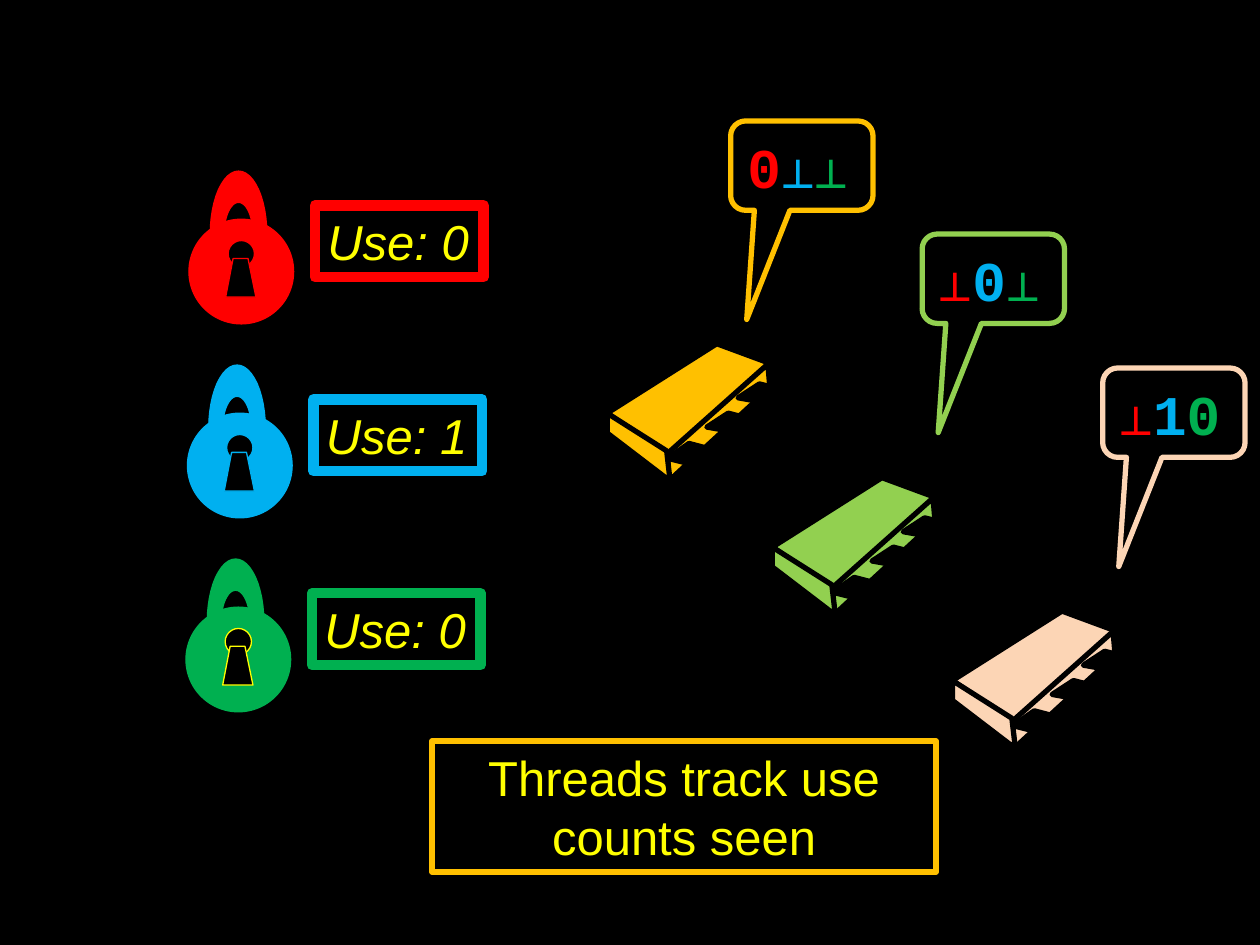
"""Build a slide of locks with use counts and threads that track the counts seen."""
import math

from lxml import etree
from pptx import Presentation
from pptx import util as u
from pptx.dml.color import RGBColor
from pptx.enum import shapes, text
from pptx.oxml.ns import qn

THEME = {
    "background": "000000", "text": "FFFF00", "accent": "FFC000",
    "locks": ("FF0000", "00B0F0", "00B050"),
    "chips": ("FFC000", "92D050", "FCD5B5"),
    "font": "Arial", "code_font": "Courier New",
    "size": 28, "code_size": 32,
    "thin": 0.75, "medium": 3, "thick": 6,
}

KEYHOLE_LINES = ("FF0000", "00B0F0", "FFFF00")
LOCK_LABELS = ("Use: 0", "Use: 1", "Use: 0")
LOCK_START, LOCK_STEP = (3.81, 4.42), (-0.03, 3.91)
LABEL_OFFSET, LABEL_SIZE = (2.54, -0.28), (3.4, 1.45)

THREADS = [
    {"chip": (12.24, 6.93), "callout": (14.73, 2.44), "seen": "0⊥⊥"},
    {"chip": (15.57, 9.63), "callout": (18.59, 4.72), "seen": "⊥0⊥"},
    {"chip": (19.2, 12.32), "callout": (22.23, 7.42), "seen": "⊥10"},
]
CALLOUT_SIZE = (2.87, 1.8)
CALLOUT_ADJUSTMENTS = (-0.387, 1.723, 0.167)

SUMMARY = "Threads track use counts seen"
SUMMARY_BOX = (8.71, 14.94, 10.16, 2.64)

KEYWAY = [(0.74, 1.57), (0.89, 0.79), (1.19, 0.79), (1.35, 1.57)]
BACK_PIN = [(0.6, 0.2), (0.2, 0), (0, 0.2), (0, 1.4), (0.2, 1.2), (0.2, 0.4), (0.6, 0.6)]
END_PIN = [(0.43, 0), (0, 0.3), (0.72, 0.48), (0.72, 1.42), (1, 1.1), (1, 0.15)]
SIDE_PIN = [(0.43, 0), (0, 0.28), (0.73, 0.41), (0.73, 1.21), (1.02, 0.94), (1.02, 0.15)]
CHIP_FACES = [
    [(2.21, 0), (0, 1.4), (1.24, 2.24), (3.32, 0.41)],
    [(3.24, 0.41), (1.22, 2.21), (1.24, 2.77), (3.28, 0.89)],
    [(0, 1.4), (0, 1.8), (1.27, 2.77), (1.2, 2.16)],
]
BACK_PINS = [(1.24, -0.05), (-0.2, 1.02), (0.66, 0.41)]
FRONT_PINS = [(END_PIN, (1.22, 2.01)), (SIDE_PIN, (2.01, 1.4)), (SIDE_PIN, (2.64, 0.81))]


def shift(point, offset):
    return point[0] + offset[0], point[1] + offset[1]


def half_ellipse(center, radii, steps=24):
    angles = [math.pi * (1 + step / steps) for step in range(steps + 1)]
    return [(center[0] + radii[0] * math.cos(angle), center[1] + radii[1] * math.sin(angle))
            for angle in angles]


def paint(shape, fill, line, width):
    shape.shadow.inherit = False
    shape.fill.solid()
    shape.fill.fore_color.rgb = RGBColor.from_string(fill)
    shape.line.color.rgb = RGBColor.from_string(line)
    shape.line.width = u.Pt(width)
    return shape


def add_preset(parent, kind, box, fill, line, width):
    shape = parent.shapes.add_shape(kind, *(u.Cm(value) for value in box))
    return paint(shape, fill, line, width)


def add_outline(parent, points, origin, fill, line, width):
    corners = [tuple(u.Cm(value) for value in shift(point, origin)) for point in points]
    builder = parent.shapes.build_freeform(*corners[0])
    builder.add_line_segments(corners[1:], close=True)
    return paint(builder.convert_to_shape(), fill, line, width)


def write(shape, runs, *, font=THEME["font"], size=THEME["size"], bold=False, italic=False,
          align=text.PP_ALIGN.LEFT, anchor=text.MSO_ANCHOR.TOP, wrap=False):
    frame = shape.text_frame
    frame.word_wrap = wrap
    frame.auto_size = text.MSO_AUTO_SIZE.SHAPE_TO_FIT_TEXT
    frame.vertical_anchor = anchor
    paragraph = frame.paragraphs[0]
    paragraph.alignment = align
    for words, color in runs:
        run = paragraph.add_run()
        run.text = words
        run.font.name = font
        run.font.size = u.Pt(size)
        run.font.bold, run.font.italic = bold, italic
        run.font.color.rgb = RGBColor.from_string(color)


def add_lock(slide, origin, color, keyhole_line, label):
    black, thin = THEME["background"], THEME["thin"]
    lock = slide.shapes.add_group_shape()
    oval = shapes.MSO_SHAPE.OVAL
    add_preset(lock, oval, (*origin, 2.11, 2.11), color, color, thin)
    add_preset(lock, oval, (*shift((0.79, 0.43), origin), 0.53, 0.53), black, keyhole_line, thin)
    add_outline(lock, KEYWAY, origin, black, keyhole_line, thin)
    center = (1, 0.3)
    shackle = half_ellipse(center, (0.57, 1.27)) + half_ellipse(center, (0.29, 0.64))[::-1]
    add_outline(lock, shackle, origin, color, color, thin)
    box = (*shift(LABEL_OFFSET, origin), *LABEL_SIZE)
    frame = add_preset(slide, shapes.MSO_SHAPE.RECTANGLE, box, black, color, THEME["thick"])
    write(frame, [(label, THEME["text"])], italic=True)


def add_chip(slide, origin, color):
    black = THEME["background"]
    chip = slide.shapes.add_group_shape()
    parts = [(BACK_PIN, offset, black) for offset in BACK_PINS]
    parts += [(face, (0, 0), color) for face in CHIP_FACES]
    parts += [(pin, offset, black) for pin, offset in FRONT_PINS]
    for points, offset, fill in parts:
        add_outline(chip, points, shift(offset, origin), fill, black, THEME["medium"])


def add_callout(slide, origin, color, seen):
    callout = add_preset(slide, shapes.MSO_SHAPE.ROUNDED_RECTANGULAR_CALLOUT,
                         (*origin, *CALLOUT_SIZE), THEME["background"], color, THEME["medium"])
    for index, value in enumerate(CALLOUT_ADJUSTMENTS):
        callout.adjustments[index] = value
    fill_color = callout._element.spPr.find(qn("a:solidFill"))[0]
    etree.SubElement(fill_color, qn("a:alpha"), val="90000")
    write(callout, zip(seen, THEME["locks"]), font=THEME["code_font"],
          size=THEME["code_size"], bold=True, anchor=text.MSO_ANCHOR.MIDDLE)


def main():
    presentation = Presentation()
    presentation.slide_width, presentation.slide_height = u.Cm(25.4), u.Cm(19.05)
    slide = presentation.slides.add_slide(presentation.slide_layouts[6])
    slide.background.fill.solid()
    slide.background.fill.fore_color.rgb = RGBColor.from_string(THEME["background"])

    for row, lock in enumerate(zip(THEME["locks"], KEYHOLE_LINES, LOCK_LABELS)):
        origin = shift(LOCK_START, (row * LOCK_STEP[0], row * LOCK_STEP[1]))
        add_lock(slide, origin, *lock)
    for thread, color in zip(THREADS, THEME["chips"]):
        add_chip(slide, thread["chip"], color)
        add_callout(slide, thread["callout"], color, thread["seen"])

    summary = add_preset(slide, shapes.MSO_SHAPE.RECTANGLE, SUMMARY_BOX,
                         THEME["background"], THEME["accent"], THEME["medium"])
    write(summary, [(SUMMARY, THEME["text"])], align=text.PP_ALIGN.CENTER, wrap=True)
    presentation.save("out.pptx")


if __name__ == "__main__":
    main()
